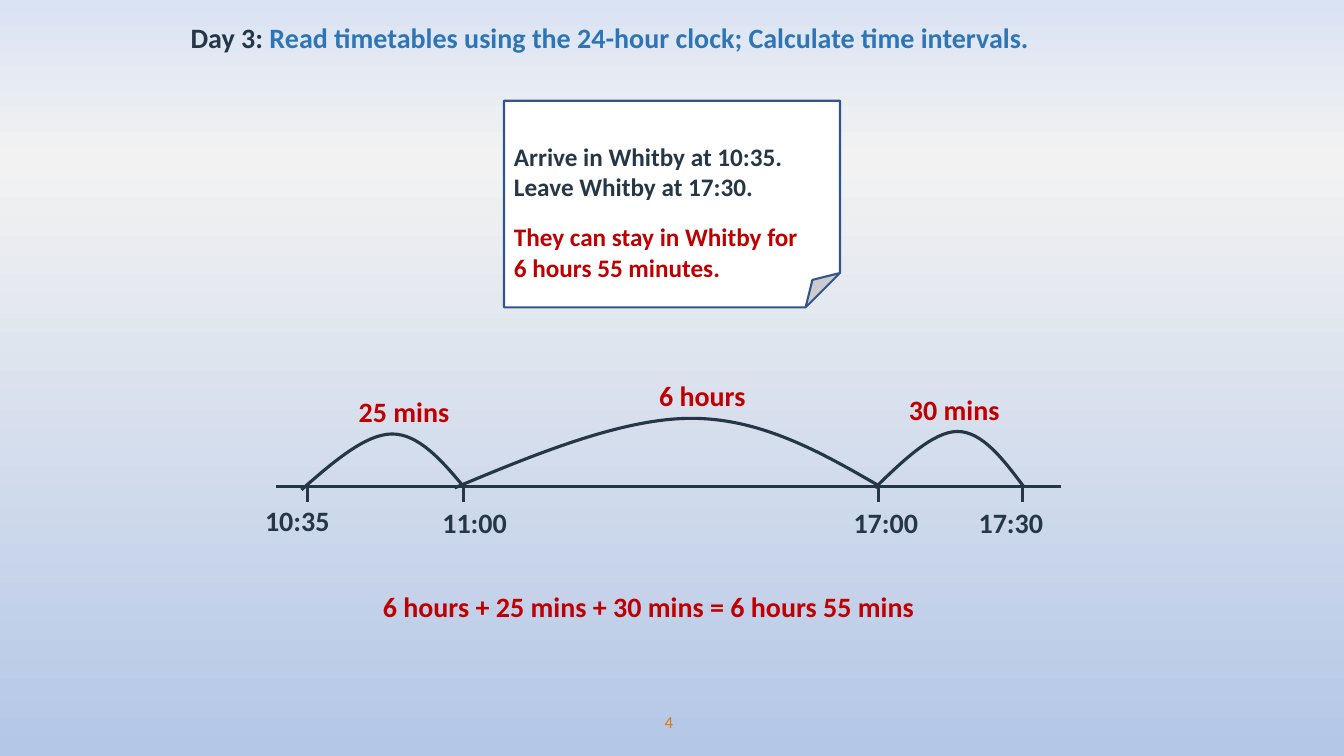
from copy import deepcopy
from dataclasses import dataclass

from lxml import etree
from pptx import Presentation
from pptx.dml.color import RGBColor
from pptx.enum.shapes import MSO_CONNECTOR, MSO_SHAPE
from pptx.enum.text import MSO_ANCHOR, PP_ALIGN
from pptx.oxml.ns import qn
from pptx.util import Pt

STRAIGHT = MSO_CONNECTOR.STRAIGHT
FOLDED_CORNER = MSO_SHAPE.FOLDED_CORNER
TOP, MIDDLE = MSO_ANCHOR.TOP, MSO_ANCHOR.MIDDLE
LEFT, CENTER = PP_ALIGN.LEFT, PP_ALIGN.CENTER
TITLE_ONLY = 5


@dataclass(frozen=True)
class Theme:
    font: str = "Calibri"
    ink: str = "253746"
    heading: str = "2E75B6"
    answer: str = "C00000"
    page: str = "EA7600"
    paper: str = "FFFFFF"
    paper_edge: str = "325491"
    background: tuple = ((0, "DAE3F3"), (0.21, "F2F2F2"), (1, "B4C7E7"))
    large: float = 20
    medium: float = 18
    small: float = 12
    stroke: float = 2.25
    edge: float = 1.5


THEME = Theme()
LABEL_HEIGHT = 31.7
AXIS_Y, TICK_LENGTH = 347.8, 10.8

# Tick x, label text, label left, label top, label width
TIMES = (
    (219.6, "10:35", 182.2, 356.4, 85.7),
    (331.2, "11:00", 308.9, 357.8, 67),
    (627.8, "17:00", 602.6, 357.8, 99.4),
    (730.1, "17:30", 691.9, 357.8, 85.7),
)
# Start, peak and end of each jump, then its label and the label's place
JUMPS = (
    ((215.3, 349.9), (280.1, 310), (331.9, 348.5), "25 mins", 249.1, 278.6),
    ((324.7, 348.5), (493.9, 298.8), (627.8, 347), "6 hours", 463.7, 267.1),
    ((625, 348.5), (684, 308.2), (730.8, 347), "30 mins", 642.2, 276.5),
)


def colour(value):
    return RGBColor.from_string(value)


def place(shape, left, top, width, height):
    shape.left, shape.top = Pt(left), Pt(top)
    shape.width, shape.height = Pt(width), Pt(height)


def write(frame, paragraphs, size, anchor=TOP, align=LEFT, bold=True):
    """Each paragraph is a list of (text, colour) runs."""
    frame.word_wrap = True
    frame.vertical_anchor = anchor
    for index, runs in enumerate(paragraphs):
        paragraph = frame.add_paragraph() if index else frame.paragraphs[0]
        paragraph.alignment = align
        for text, run_colour in runs:
            run = paragraph.add_run()
            run.text = text
            run.font.name = THEME.font
            run.font.size = Pt(size)
            run.font.bold = bold
            run.font.color.rgb = colour(run_colour)


def add_text(slide, box, text, text_colour, size=THEME.large, **style):
    shape = slide.shapes.add_textbox(*map(Pt, box))
    write(shape.text_frame, [[(text, text_colour)]], size, **style)


def set_line(line, line_colour, width):
    line.color.rgb = colour(line_colour)
    line.width = Pt(width)


def add_line(slide, start, end):
    connector = slide.shapes.add_connector(STRAIGHT, *map(Pt, start + end))
    set_line(connector.line, THEME.ink, THEME.stroke)
    etree.SubElement(connector.element.spPr, qn("a:effectLst"))


def between(start, end, across, down):
    return (start[0] + (end[0] - start[0]) * across,
            start[1] + (end[1] - start[1]) * down)


def add_jump(slide, start, peak, end):
    """Draw two Bézier curves that meet with a level tangent at the peak."""
    points = [
        between(start, peak, 0.35, 0.5), between(start, peak, 0.71, 1), peak,
        between(peak, end, 0.37, 0), between(peak, end, 0.69, 0.5), end,
    ]
    builder = slide.shapes.build_freeform(Pt(start[0]), Pt(start[1]))
    builder.add_line_segments([(Pt(x), Pt(y)) for x, y in points], close=False)
    shape = builder.convert_to_shape()
    shape.shadow.inherit = False
    shape.fill.background()
    set_line(shape.line, THEME.ink, THEME.stroke)

    # Turn every three line segments into one cubic curve
    outline = next(shape.element.iter(qn("a:path")))
    segments = outline.findall(qn("a:lnTo"))
    for first in range(0, len(segments), 3):
        curve = etree.SubElement(outline, qn("a:cubicBezTo"))
        for segment in segments[first:first + 3]:
            curve.append(segment[0])
            outline.remove(segment)


def paint_background(slide):
    fill = slide.background.fill
    fill.gradient()
    fill.gradient_angle = 270
    stop_list = next(slide.element.iter(qn("a:gsLst")))
    stop_list.append(deepcopy(stop_list[-1]))
    for stop, (position, value) in zip(fill.gradient_stops, THEME.background):
        stop.position = position
        stop.color.rgb = colour(value)


def add_title(slide):
    title = slide.shapes.title
    place(title, 128.9, 10.8, 698.4, LABEL_HEIGHT)
    write(title.text_frame, [[
        ("Day 3: ", THEME.ink),
        ("Read timetables using the 24-hour clock; Calculate time intervals.",
         THEME.heading),
    ]], THEME.large)


def add_note(slide):
    note = slide.shapes.add_shape(
        FOLDED_CORNER, Pt(360), Pt(72), Pt(240), Pt(147.6))
    note.shadow.inherit = False
    note.fill.solid()
    note.fill.fore_color.rgb = colour(THEME.paper)
    set_line(note.line, THEME.paper_edge, THEME.edge)
    note.text_frame.margin_top = Pt(28.6)
    write(note.text_frame, [
        [("Arrive in Whitby at 10:35.", THEME.ink)],
        [("Leave Whitby at 17:30.", THEME.ink)],
    ], THEME.medium)
    add_text(slide, (360, 154.8, 219.6, 51.1),
             "They can stay in Whitby for 6 hours 55 minutes.",
             THEME.answer, THEME.medium)


def add_timeline(slide):
    add_line(slide, (197.3, AXIS_Y), (758.2, AXIS_Y))
    for x, time, left, top, width in TIMES:
        add_line(slide, (x, AXIS_Y), (x, AXIS_Y + TICK_LENGTH))
        add_text(slide, (left, top, width, LABEL_HEIGHT), time, THEME.ink)
    for start, peak, end, duration, left, top in JUMPS:
        add_jump(slide, start, peak, end)
        add_text(slide, (left, top, 85.7, LABEL_HEIGHT), duration, THEME.answer)


def main():
    presentation = Presentation()
    presentation.slide_width, presentation.slide_height = Pt(960), Pt(540)
    slide = presentation.slides.add_slide(
        presentation.slide_layouts[TITLE_ONLY])
    paint_background(slide)
    add_title(slide)
    add_note(slide)
    add_timeline(slide)
    # Total and page number
    add_text(slide, (266.4, 417.6, 491.8, LABEL_HEIGHT),
             "6 hours + 25 mins + 30 mins = 6 hours 55 mins", THEME.answer)
    add_text(slide, (449.3, 501.1, 56.9, 28.8), "4", THEME.page, THEME.small,
             anchor=MIDDLE, align=CENTER, bold=False)
    presentation.save("out.pptx")


if __name__ == "__main__":
    main()
